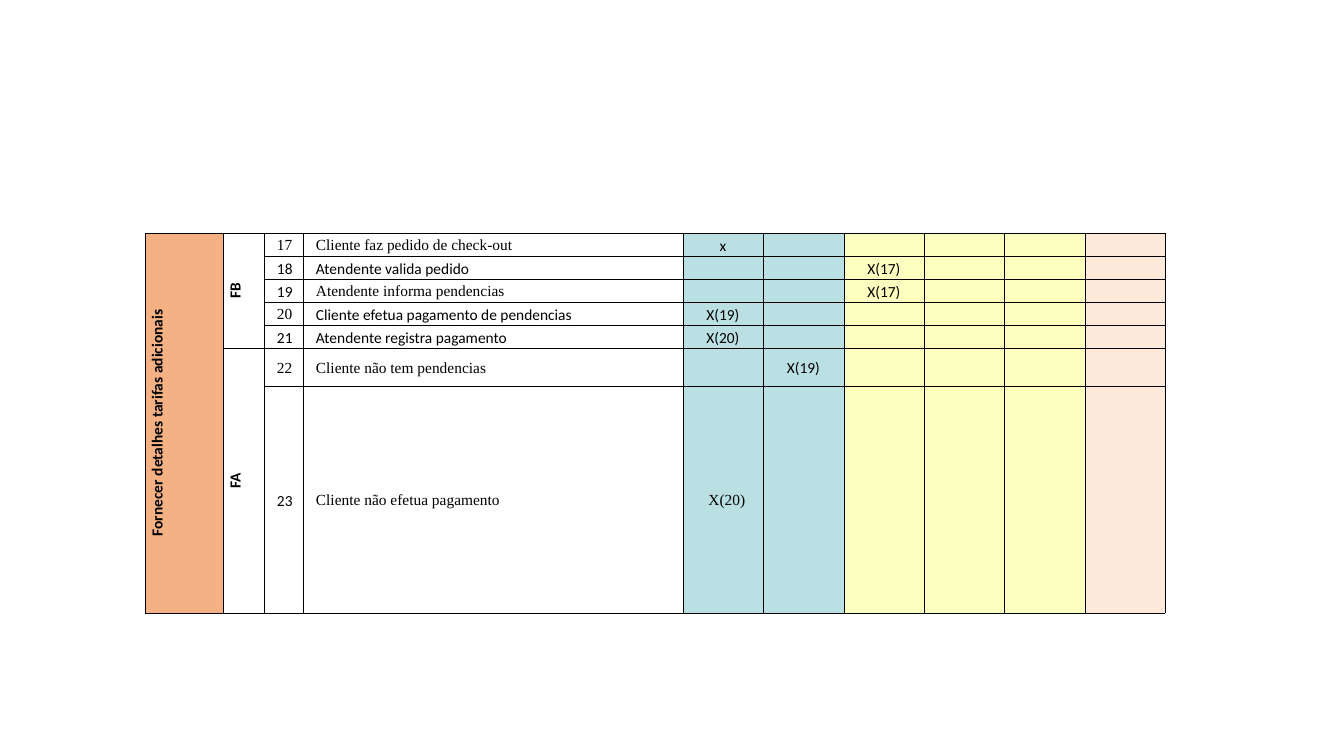
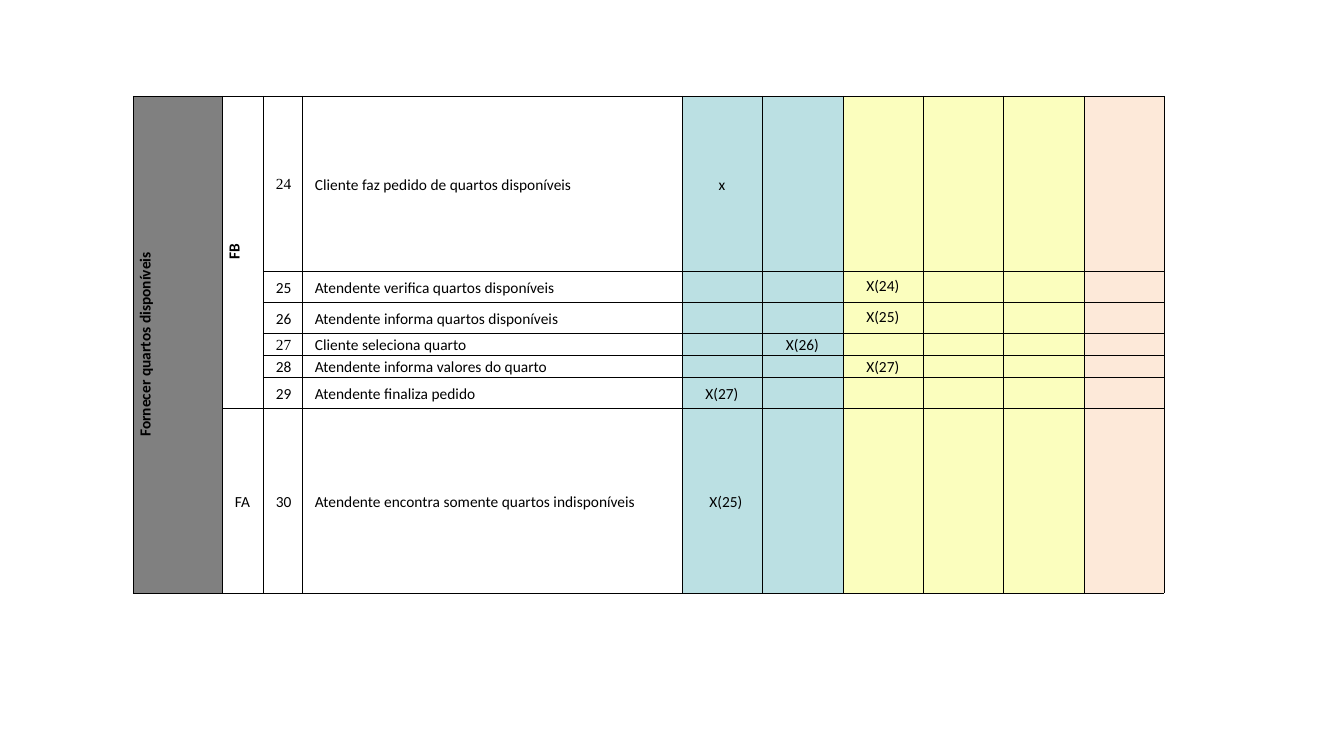
from dataclasses import dataclass
from lxml.etree import SubElement
from pptx import Presentation
from pptx.dml.color import RGBColor
from pptx.enum.text import MSO_ANCHOR, PP_ALIGN
from pptx.oxml.ns import qn
from pptx.util import Pt

SCALE = 914400 / 100.8


def px(size):
    return round(size * SCALE)


@dataclass(frozen=True)
class Theme:
    sans: str = "Calibri"
    serif: str = "Times New Roman"
    size: int = 11
    ink: str = "000000"
    blue: str = "BBE0E3"
    yellow: str = "FBFEBE"
    peach: str = "FDE9D9"
    orange: str = "F4B183"
    gray: str = "808080"
    line: float = 0.25
    space: float = 1.15
    inset: int = 5
    indent: int = 8


THEME = Theme()
CENTER = {"align": PP_ALIGN.CENTER}
SIDE = {"align": PP_ALIGN.CENTER, "bold": True}
INDENT = {"indent": THEME.indent}
COLS = (41, 39, 380, 80, 81, 80, 80, 81, 80)
FILLS = [None] * 4 + [THEME.blue] * 2 + [THEME.yellow] * 3 + [THEME.peach]


def write(cell, text, font=THEME.sans, bold=False, align=None, indent=0, space=THEME.space):
    para = cell.text_frame.paragraphs[0]
    para.line_spacing = space
    if align is not None:
        para.alignment = align
    if indent:
        para._p.get_or_add_pPr().set("indent", str(px(indent)))
    run = para.add_run()
    run.text = text
    run.font.name = font
    run.font.size = Pt(THEME.size)
    run.font.bold = bold
    run.font.color.rgb = RGBColor.from_string(THEME.ink)


class Deck:
    def __init__(self, theme):
        self.theme = theme
        self.show = Presentation()
        self.show.slide_width = px(1344)
        self.show.slide_height = px(756)
        self.slide = None

    def page(self):
        self.slide = self.show.slides.add_slide(self.show.slide_layouts[6])

    def border(self, cell):
        props = cell._tc.get_or_add_tcPr()
        for side in ("lnL", "lnR", "lnT", "lnB"):
            line = SubElement(props, qn("a:" + side), w=str(Pt(self.theme.line)))
            fill = SubElement(line, qn("a:solidFill"))
            SubElement(fill, qn("a:srgbClr"), val=self.theme.ink)

    def style(self, cell, fill):
        cell.margin_left = cell.margin_right = px(self.theme.inset)
        cell.margin_top = cell.margin_bottom = 0
        cell.vertical_anchor = MSO_ANCHOR.MIDDLE
        self.border(cell)
        if fill:
            cell.fill.solid()
            cell.fill.fore_color.rgb = RGBColor.from_string(fill)
        else:
            cell.fill.background()
        para = cell.text_frame.paragraphs[0]
        SubElement(para._p, qn("a:endParaRPr"), sz=str(self.theme.size * 100))

    def table(self, left, top, widths, heights, fills):
        frame = self.slide.shapes.add_table(
            len(heights), len(widths), px(left), px(top), px(sum(widths)), px(sum(heights)))
        grid = frame.table
        grid.first_row = grid.horz_banding = False
        for col, width in zip(grid.columns, widths):
            col.width = px(width)
        for row, height in zip(grid.rows, heights):
            row.height = px(height)
            for cell, fill in zip(row.cells, fills):
                self.style(cell, fill)
        return grid

    def group(self, grid, col, first, last, text, turn=True, **form):
        cell = grid.cell(first, col)
        if last > first:
            cell.merge(grid.cell(last, col))
        if turn:
            cell._tc.get_or_add_tcPr().set("vert", "vert270")
        write(cell, text, **form)

    def matrix(self, left, top, first, title, fill, flows, steps):
        self.page()
        heights = [step[0] for step in steps]
        grid = self.table(left, top, (first, *COLS), heights, [fill, *FILLS[1:]])
        self.group(grid, 0, 0, len(steps) - 1, title, **SIDE)
        for start, end, text, turn, form in flows:
            self.group(grid, 1, start, end, text, turn, **form)
        for row, (_, number, label, col, mark, serif, form) in enumerate(steps):
            items = ((2, number, INDENT), (3, label, INDENT), (col, mark, form))
            for flag, (place, text, look) in zip("nlm", items):
                font = self.theme.serif if flag in serif else self.theme.sans
                write(grid.cell(row, place), text, font=font, **look)


SINGLE = CENTER | {"space": 1.0}
SHIFT = CENTER | INDENT

CHECKOUT = (
    (23, "17", "Cliente faz pedido de check-out", 4, "x", "nl", CENTER),
    (23, "18", "Atendente valida pedido", 6, "X(17)", "", CENTER),
    (23, "19", "Atendente informa pendencias\u00a0", 6, "X(17)", "l", CENTER),
    (23, "20", "Cliente efetua pagamento de pendencias\u00a0", 4, "X(19)", "n", CENTER),
    (23, "21", "Atendente registra pagamento", 4, "X(20)", "", CENTER),
    (38, "22", "Cliente não tem pendencias", 5, "X(19)", "nl", CENTER),
    (227, "23", "Cliente não efetua pagamento", 4, "X(20)", "lm", SHIFT),
)
ROOMS = (
    (175, "24", "Cliente faz pedido de quartos disponíveis", 4, "x", "n", CENTER),
    (31, "25", "Atendente verifica quartos disponíveis", 6, "X(24)", "", SINGLE),
    (31, "26", "Atendente informa quartos disponíveis", 6, "X(25)", "", SINGLE),
    (22, "27", "Cliente seleciona quarto", 5, "X(26)", "n", CENTER),
    (22, "28", "Atendente informa valores do quarto", 6, "X(27)", "", CENTER),
    (31, "29", "Atendente finaliza pedido", 4, "X(27)", "", CENTER),
    (185, "30", "Atendente encontra somente quartos indisponíveis", 4, "X(25)", "", SHIFT),
)

deck = Deck(THEME)
deck.matrix(145, 233, 78, "Fornecer detalhes tarifas adicionais", THEME.orange,
            ((0, 4, "FB", True, SIDE), (5, 6, "FA", True, SIDE)), CHECKOUT)
deck.matrix(133, 96, 89, "Fornecer quartos disponíveis", THEME.gray,
            ((0, 5, "FB", True, SIDE), (6, 6, "FA", False, INDENT)), ROOMS)
deck.show.save("out.pptx")
